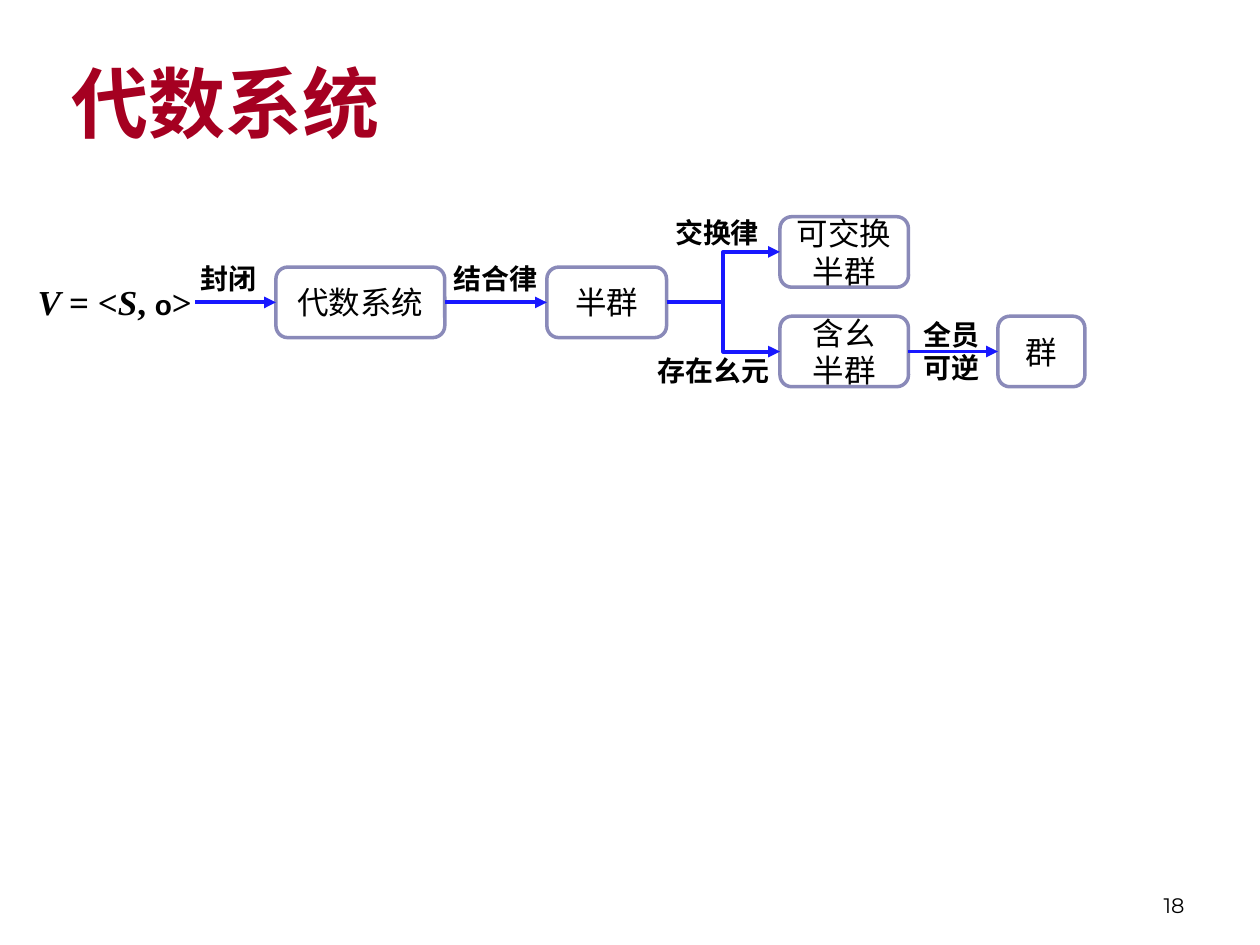
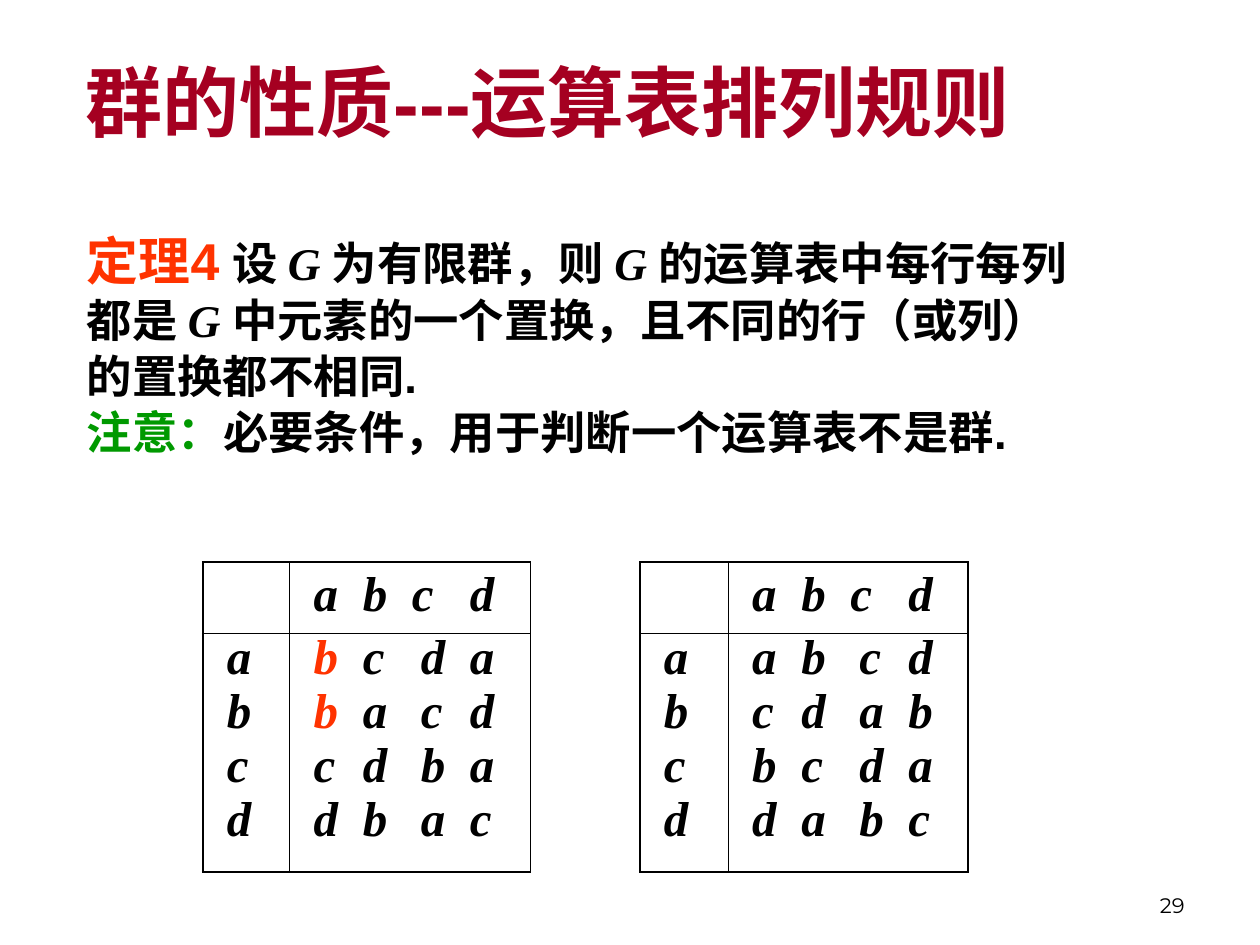
from lxml import etree
from pptx import Presentation
from pptx.dml.color import RGBColor
from pptx.enum.shapes import MSO_CONNECTOR, MSO_SHAPE
from pptx.enum.text import MSO_ANCHOR, MSO_AUTO_SIZE, PP_ALIGN
from pptx.oxml.ns import qn
from pptx.util import Emu, Inches, Pt

BLACK = RGBColor(0, 0, 0)
WHITE = RGBColor(255, 255, 255)
WINE = RGBColor(0xA5, 0x00, 0x21)
RED = RGBColor(0xFF, 0x33, 0x00)
GREEN = RGBColor(0x00, 0x99, 0x00)
BLUE = RGBColor(0x18, 0x18, 0xFF)
LILAC = RGBColor(0x8A, 0x8A, 0xB9)
SANS, SERIF, PAGE = "Arial", "Times New Roman", "Montserrat"
LEFT, MID, RIGHT = PP_ALIGN.LEFT, PP_ALIGN.CENTER, PP_ALIGN.RIGHT
CENTER, BOTTOM = MSO_ANCHOR.MIDDLE, MSO_ANCHOR.BOTTOM
FIXED = MSO_AUTO_SIZE.NONE
ROUND = MSO_SHAPE.ROUNDED_RECTANGLE
LINE, ELBOW = MSO_CONNECTOR.STRAIGHT, MSO_CONNECTOR.ELBOW

deck = Presentation()
deck.slide_width, deck.slide_height = Inches(10), Inches(7.5)
COL, ROW = deck.slide_width / 100, deck.slide_height / 75


def grid(x, y, w, h):
    return Emu(round(x * COL)), Emu(round(y * ROW)), Emu(round(w * COL)), Emu(round(h * ROW))


def write(par, text, size, face=SANS, color=BLACK, bold=True, slant=False):
    run = par.add_run()
    run.text = text
    font = run.font
    font.size, font.name, font.bold, font.italic = Pt(size), face, bold, slant
    font.color.rgb = color


# slides with title and page number
heads = [
    (5, "代数系统", "18", (4.7, 2.1, 87.5, 12)),
    (1, "群的性质---运算表排列规则", "29", (5.8, 0.5, 90, 15)),
]
for kind, name, page, area in heads:
    slide = deck.slides.add_slide(deck.slide_layouts[kind])
    title = slide.shapes.title
    title.left, title.top, title.width, title.height = grid(*area)
    frame = title.text_frame
    frame.auto_size, frame.vertical_anchor = FIXED, CENTER
    par = frame.paragraphs[0]
    par.alignment = LEFT
    write(par, name, 44, color=WINE)
    frame = slide.shapes.add_textbox(*grid(71.7, 68.3, 23.3, 5)).text_frame
    frame.word_wrap, frame.vertical_anchor = True, BOTTOM
    par = frame.paragraphs[0]
    par.alignment = RIGHT
    write(par, page, 12, PAGE, bold=False)

chart, rules = deck.slides

nodes = {}
for key, x, y, w, lines in [
    ("system", 21.9, 21.2, 13.4, ["代数系统"]),
    ("semi", 43.4, 21.2, 9.5, ["半群"]),
    ("swap", 61.9, 17.2, 10.2, ["可交换半群"]),
    ("unit", 61.9, 25.1, 10.2, ["含幺", "半群"]),
    ("group", 79.2, 25.1, 6.9, ["群"]),
]:
    node = nodes[key] = chart.shapes.add_shape(ROUND, *grid(x, y, w, 5.6))
    node.shadow.inherit = False
    node.fill.solid()
    node.fill.fore_color.rgb = WHITE
    node.line.color.rgb = LILAC
    node.line.width = Pt(2)
    frame = node.text_frame
    frame.word_wrap, frame.vertical_anchor = True, CENTER
    for i, text in enumerate(lines):
        par = frame.add_paragraph() if i else frame.paragraphs[0]
        par.alignment = MID
        write(par, text, 18, bold=False)

for start, end, kind in [
    (None, "system", LINE),
    ("system", "semi", LINE),
    ("semi", "swap", ELBOW),
    ("semi", "unit", ELBOW),
    ("unit", "group", LINE),
]:
    x, y, _, _ = grid(15.5, 24, 0, 0)
    link = chart.shapes.add_connector(kind, x, y, x, y)
    if start:
        link.begin_connect(nodes[start], 3)
    link.end_connect(nodes[end], 1)
    link.line.color.rgb = BLUE
    link.line.width = Pt(2.25)
    tip = etree.SubElement(link.line._get_or_add_ln(), qn("a:tailEnd"))
    tip.set("type", "triangle")
    etree.SubElement(link._element.spPr, qn("a:effectLst"))

for x, y, w, h, lines in [
    (14.9, 20.3, 8, 3.7, ["封闭"]),
    (35, 20.3, 9.4, 3.7, ["结合律"]),
    (52.6, 16.6, 9.5, 3.7, ["交换律"]),
    (51.2, 27.6, 11.2, 3.7, ["存在幺元"]),
    (72.3, 24.7, 6.9, 6.4, ["全员", "可逆"]),
]:
    frame = chart.shapes.add_textbox(*grid(x, y, w, h)).text_frame
    frame.word_wrap = True
    for i, text in enumerate(lines):
        par = frame.add_paragraph() if i else frame.paragraphs[0]
        write(par, text, 16, SERIF)

frame = chart.shapes.add_textbox(*grid(2, 21.8, 17.8, 4.4)).text_frame
frame.word_wrap = True
par = frame.paragraphs[0]
for text, size, face, slant in [
    ("V ", 20, SERIF, True),
    ("= <", 20, SERIF, False),
    ("S", 20, SERIF, True),
    (", ", 20, SERIF, False),
    ("ο", 16, SANS, False),
    (">", 20, SERIF, False),
]:
    write(par, text, size, face, slant=slant)

body = rules.placeholders[1]
body.left, body.top, body.width, body.height = grid(5.9, 18.6, 89, 22.8)
frame = body.text_frame
frame.auto_size = FIXED
for i, runs in enumerate([
    [("定理4", RED), (" 设 ", BLACK), ("G ", None), ("为有限群，则 ", BLACK),
     ("G ", None), ("的运算表中每行每列", BLACK)],
    [("都是 ", BLACK), ("G ", None), ("中元素的一个置换，且不同的行（或列）", BLACK)],
    [("的置换都不相同.", BLACK)],
    [("注意：", GREEN), ("必要条件，用于判断一个运算表不是群.", BLACK)],
]):
    par = frame.add_paragraph() if i else frame.paragraphs[0]
    props = par._p.get_or_add_pPr()
    props.set("marL", str(Inches(0.38)))
    props.set("indent", str(-Inches(0.38)))
    etree.SubElement(props, qn("a:buNone"))
    par.line_spacing = 0.8
    par.space_before = Pt(7 if i else 0)
    for text, color in runs:
        if color is None:
            write(par, text, 25.9, SERIF, slant=True)
        else:
            write(par, text, 29.6 if color == RED else 25.9, color=color)

for x, first, rows, marks in [
    (16.1, 6.9, ["bcda", "bacd", "cdba", "dbac"], 2),
    (50.8, 7, ["abcd", "cdab", "bcda", "dabc"], 0),
]:
    table = rules.shapes.add_table(2, 2, *grid(x, 44.6, 26, 24.6)).table
    table.first_row = table.horz_banding = False
    for i, size in enumerate([first, 26 - first]):
        table.columns[i].width = Emu(round(size * COL))
    for i, size in enumerate([5.7, 18.9]):
        table.rows[i].height = Emu(round(size * ROW))
    for r, c in [(0, 0), (0, 1), (1, 0), (1, 1)]:
        cell = table.cell(r, c)
        cell.margin_left, cell.margin_right = Inches(0.19), Inches(0.1)
        props = cell._tc.get_or_add_tcPr()
        for side, outer in [("L", c == 0), ("R", c == 1), ("T", r == 0), ("B", r == 1)]:
            edge = etree.SubElement(props, qn("a:ln" + side), w=str(Pt(1.08 if outer else 0.45)))
            fill = etree.SubElement(edge, qn("a:solidFill"))
            etree.SubElement(fill, qn("a:srgbClr"), val=str(BLACK))
        cell.fill.background()
        lines = [["", "abcd"], "abcd"][r] if c == 0 or r == 0 else rows
        if r == 0:
            lines = [lines[c]] if c else []
        for i, text in enumerate(lines):
            par = cell.text_frame.add_paragraph() if i else cell.text_frame.paragraphs[0]
            stops = etree.SubElement(par._p.get_or_add_pPr(), qn("a:tabLst"))
            for stop in [0.39, 0.85 if r else 0.78, 1.24]:
                etree.SubElement(stops, qn("a:tab"), pos=str(Inches(stop)), algn="l")
            if r:
                par.line_spacing = 0.8
                par.space_before = Pt(6 if i else 0)
            marked = r and c and i < marks
            write(par, text[0], 28, SERIF, RED if marked else BLACK, slant=True)
            if len(text) > 1:
                write(par, "\t" + "\t".join(text[1:]), 28, SERIF, slant=True)

deck.save("out.pptx")
